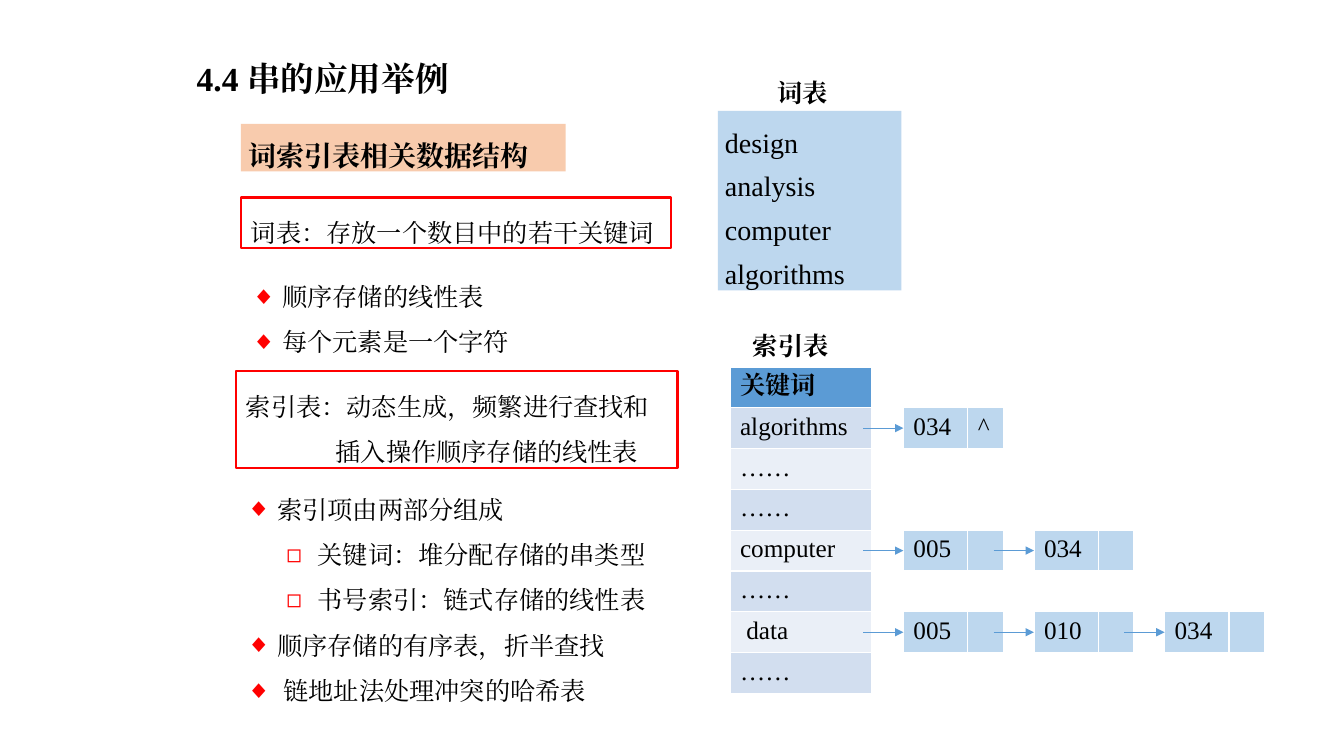
from lxml import etree
from pptx import Presentation
from pptx.dml.color import RGBColor
from pptx.enum.shapes import MSO_CONNECTOR, MSO_SHAPE
from pptx.enum.text import MSO_ANCHOR, MSO_AUTO_SIZE, PP_ALIGN
from pptx.oxml.ns import qn
from pptx.util import Inches, Pt

RECTANGLE, STRAIGHT = MSO_SHAPE.RECTANGLE, MSO_CONNECTOR.STRAIGHT
TOP, NO_FIT, LEFT = MSO_ANCHOR.TOP, MSO_AUTO_SIZE.NONE, PP_ALIGN.LEFT

# Content
SECTION = "4.4 串的应用举例"
TOPIC = "词索引表相关数据结构"
WORD_LIST_RULE = ["词表：存放一个数目中的若干关键词"]
INDEX_RULE = ["索引表：动态生成，频繁进行查找和", "插入操作顺序存储的线性表"]
WORD_LIST_POINTS = [(0, "顺序存储的线性表"), (0, "每个元素是一个字符")]
INDEX_POINTS = [
    (0, "索引项由两部分组成"),
    (1, "关键词：堆分配存储的串类型"),
    (1, "书号索引：链式存储的线性表"),
    (0, "顺序存储的有序表，折半查找"),
    (0, " 链地址法处理冲突的哈希表"),
]
WORD_LIST_LABEL, INDEX_LABEL = "词表", "索引表"
WORDS = ["design", "analysis computer algorithms"]
KEYWORDS = ["关键词", "algorithms", "……", "……", "computer", "……", " data", "……"]
# Row of the index table -> its chain of (book number, link)
CHAINS = {
    1: [("034", "^")],
    4: [("005", ""), ("034", "")],
    6: [("005", ""), ("010", ""), ("034", "")],
}

# Style
FONT = "Times New Roman"
COLORS = {"text": "000000", "red": "FF0000", "topic": "F8CBAD", "pale": "BDD7EE",
          "blue": "5B9BD5", "odd": "D2DEEF", "even": "EAEFF7"}
BULLETS = [("◆", 0.31), ("◻", 0.71)]  # sign and left margin of each level
HANG = 0.31
INSET = (0.1, 0.05)
TIGHT = (0.07, 0.04)

# Grid
INDEX_X, INDEX_Y, INDEX_W = 7.24, 3.64, 1.4
ROW_H = 3.24 / len(KEYWORDS)
NODE_X, NODE_STEP, NODE_COLS = 8.96, 1.295, (0.64, 0.35)
ARROW_W = 0.4


def rgb(name):
    return RGBColor.from_string(COLORS[name])


def style(paragraph, size, bold=False, spacing=1.0):
    paragraph.alignment = LEFT
    paragraph.line_spacing = spacing
    paragraph.space_before = Pt(0)
    for run in paragraph.runs:
        run.font.size, run.font.bold, run.font.name = Pt(size), bold, FONT
        run.font.color.rgb = rgb("text")
        east_asian = etree.SubElement(run.font._element, qn("a:ea"))
        east_asian.set("typeface", FONT)


def write(shape, lines, size, bold=False, spacing=1.0, inset=INSET):
    frame = shape.text_frame
    frame.text = "\n".join(lines)
    frame.word_wrap, frame.auto_size = True, NO_FIT
    frame.vertical_anchor = TOP
    frame.margin_left = frame.margin_right = Inches(inset[0])
    frame.margin_top = frame.margin_bottom = Inches(inset[1])
    for paragraph in frame.paragraphs:
        style(paragraph, size, bold, spacing)
    return frame


def place(placeholder, box):
    (placeholder.left, placeholder.top,
     placeholder.width, placeholder.height) = map(Inches, box)


def add_box(box, lines, size, fill=None, outline=None, **look):
    shape = slide.shapes.add_shape(RECTANGLE, *map(Inches, box))
    shape.shadow.inherit = False
    if fill:
        shape.fill.solid()
        shape.fill.fore_color.rgb = rgb(fill)
    else:
        shape.fill.background()
    if outline:
        shape.line.color.rgb, shape.line.width = rgb(outline), Pt(1.5)
    else:
        shape.line.fill.background()
    return write(shape, lines, size, **look)


def add_label(box, label):
    write(slide.shapes.add_textbox(*map(Inches, box)), [label], 18, bold=True)


def fill_list(placeholder, box, points):
    place(placeholder, box)
    frame = write(placeholder, [point for _, point in points], 18, spacing=1.5)
    for paragraph, (level, _) in zip(frame.paragraphs, points):
        sign, margin = BULLETS[level]
        props = paragraph._p.get_or_add_pPr()
        props.set("marL", str(Inches(margin)))
        props.set("indent", str(-Inches(HANG)))
        color = etree.SubElement(props, qn("a:buClr"))
        etree.SubElement(color, qn("a:srgbClr")).set("val", COLORS["red"])
        etree.SubElement(props, qn("a:buChar")).set("char", sign)


def add_grid(x, y, columns, rows):
    size = (sum(columns), ROW_H * len(rows))
    table = slide.shapes.add_table(len(rows), len(columns),
                                   *map(Inches, (x, y, *size))).table
    for column, width in zip(table.columns, columns):
        column.width = Inches(width)
    for row, cells in enumerate(rows):
        table.rows[row].height = Inches(ROW_H)
        for col, (entry, fill, bold) in enumerate(cells):
            cell = table.cell(row, col)
            cell.text = entry
            cell.fill.solid()
            cell.fill.fore_color.rgb = rgb(fill)
            if bold:
                cell.margin_bottom = 0
            style(cell.text_frame.paragraphs[0], 18, bold)


def add_arrow(x, y):
    ends = map(Inches, (x - ARROW_W, y, x, y))
    arrow = slide.shapes.add_connector(STRAIGHT, *ends)
    arrow.line.color.rgb, arrow.line.width = rgb("blue"), Pt(0.5)
    etree.SubElement(arrow.line._get_or_add_ln(), qn("a:tailEnd")).set("type", "triangle")
    etree.SubElement(arrow._element.spPr, qn("a:effectLst"))


deck = Presentation()
deck.slide_width, deck.slide_height = Inches(13.33), Inches(7.5)
slide = deck.slides.add_slide(deck.slide_layouts[3])
section, word_list_points, index_points = slide.placeholders

# Headings
place(section, (1.85, 0.4, 6.66, 0.57))
write(section, [SECTION], 24, bold=True, spacing=1.3)
add_box((2.39, 1.23, 3.22, 0.47), [TOPIC], 20, fill="topic", bold=True,
        spacing=1.3, inset=TIGHT)

# Explanations on the left
add_box((2.39, 1.96, 4.27, 0.5), WORD_LIST_RULE, 18, outline="red", spacing=1.5)
fill_list(word_list_points, (2.39, 2.59, 4.11, 0.96), WORD_LIST_POINTS)
index_rule = add_box((2.34, 3.68, 4.38, 0.96), INDEX_RULE, 18, outline="red", spacing=1.5)
index_rule.paragraphs[1]._p.get_or_add_pPr().set("marL", str(Inches(0.89)))
fill_list(index_points, (2.34, 4.7, 4.92, 2.32), INDEX_POINTS)

# Word list
add_label((7.61, 0.72, 1.1, 0.4), WORD_LIST_LABEL)
add_box((7.12, 1.1, 1.82, 1.78), WORDS, 20, fill="pale", spacing=1.3, inset=TIGHT)

# Index table
add_label((7.37, 3.23, 1.94, 0.4), INDEX_LABEL)
stripes = ["blue"] + [("even", "odd")[row % 2] for row in range(1, len(KEYWORDS))]
add_grid(INDEX_X, INDEX_Y, [INDEX_W],
         [[(word, stripe, stripe == "blue")] for word, stripe in zip(KEYWORDS, stripes)])

# Chains of book numbers
for row, chain in CHAINS.items():
    y = INDEX_Y + row * ROW_H
    for step, node in enumerate(chain):
        x = NODE_X + step * NODE_STEP
        add_grid(x, y, NODE_COLS, [[(part, "pale", False) for part in node]])
        add_arrow(x, y + ROW_H / 2)

deck.save("out.pptx")
